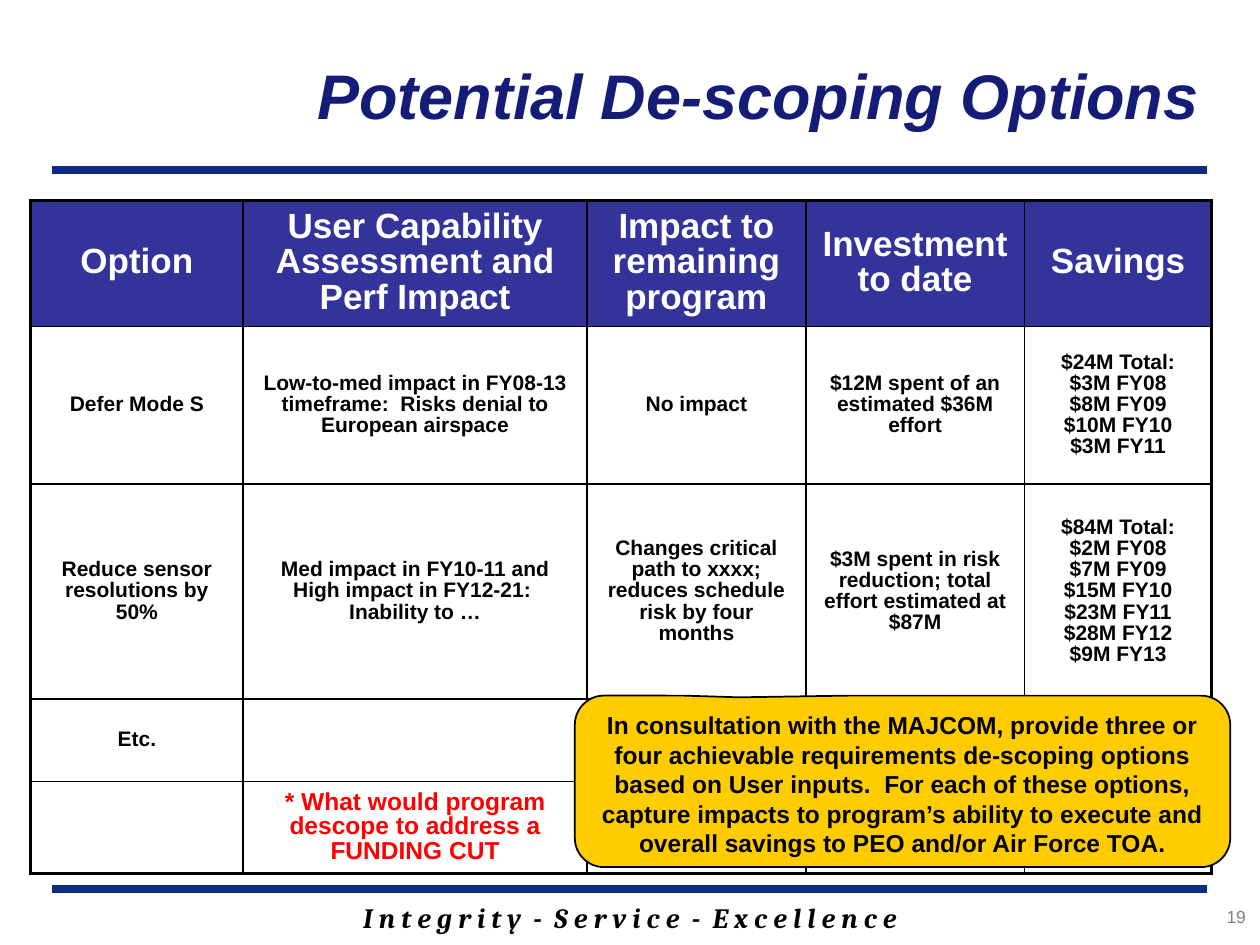
from lxml import etree
from pptx import Presentation
from pptx.dml.color import RGBColor
from pptx.enum.shapes import MSO_CONNECTOR, MSO_SHAPE
from pptx.enum.text import MSO_ANCHOR, PP_ALIGN
from pptx.oxml.ns import qn
from pptx.util import Pt

LEFT, CENTER, RIGHT = PP_ALIGN.LEFT, PP_ALIGN.CENTER, PP_ALIGN.RIGHT
TOP, MIDDLE = MSO_ANCHOR.TOP, MSO_ANCHOR.MIDDLE
STRAIGHT = MSO_CONNECTOR.STRAIGHT
CALLOUT = MSO_SHAPE.ROUNDED_RECTANGULAR_CALLOUT

# Content; \v marks a line break
TITLE = "Potential De-scoping Options"
MOTTO = "I n t e g r i t y  -  S e r v i c e  -  E x c e l l e n c e"
PAGE_NUMBER = "19"
ROWS = [
    ["Option", "User Capability Assessment and Perf Impact",
     "Impact to remaining program", "Investment to date", "Savings"],
    ["Defer Mode S",
     "Low-to-med impact in FY08-13 timeframe:  Risks denial to European airspace",
     "No impact", "$12M spent of an estimated $36M effort",
     "$24M Total:\v$3M FY08\v$8M FY09\v$10M FY10\v$3M FY11"],
    ["Reduce sensor resolutions by 50%",
     "Med impact in FY10-11 and High impact in FY12-21:  Inability to …",
     "Changes critical path to xxxx; reduces schedule risk by four months",
     "$3M spent in risk reduction; total effort estimated at $87M",
     "$84M Total:\v$2M FY08\v$7M FY09\v$15M FY10\v$23M FY11\v$28M FY12\v$9M FY13"],
    ["Etc.", "", "", "", ""],
    ["", "* What would program descope to address a FUNDING CUT", "", "", ""],
]
ADVICE = ("In consultation with the MAJCOM, provide three or four achievable "
          "requirements de-scoping options based on User inputs.  For each of these "
          "options, capture impacts to program’s ability to execute and overall "
          "savings to PEO and/or Air Force TOA.")

# Layout in points
COLUMN_WIDTHS = [121.5, 196.5, 125, 125, 107]
ROW_HEIGHTS = [67.5, 90, 123, 47, 52.5]
TABLE_LEFT, TABLE_TOP = 17.5, 114.5
RULE_LEFT, RULE_RIGHT = 30, 690
RULE_TOPS = [97, 508]


def color(value):
    return RGBColor.from_string(value)


def write(frame, text, size, fill, align=CENTER, anchor=TOP, font="Arial",
          bold=True, italic=False, spacing=None):
    frame.word_wrap = True
    frame.vertical_anchor = anchor
    frame.text = text
    para = frame.paragraphs[0]
    para.alignment = align
    if spacing:
        para.line_spacing = spacing
    for span in para.runs:
        span.font.name, span.font.size = font, Pt(size)
        span.font.bold, span.font.italic = bold, italic
        span.font.color.rgb = color(fill)


def add_text(page, left, top, width, height, text, size, fill, **style):
    box = page.shapes.add_textbox(Pt(left), Pt(top), Pt(width), Pt(height))
    write(box.text_frame, text, size, fill, **style)


def add_rule(page, top):
    rule = page.shapes.add_connector(STRAIGHT, Pt(RULE_LEFT), Pt(top),
                                     Pt(RULE_RIGHT), Pt(top))
    rule.line.color.rgb = color("0C2D83")
    rule.line.width = Pt(4.5)
    etree.SubElement(rule._element.spPr, qn("a:effectLst"))


def set_borders(cell, outer):
    properties = cell._tc.get_or_add_tcPr()
    for index, side in enumerate(("lnL", "lnR", "lnT", "lnB")):
        width = Pt(2.25 if side in outer else 1)
        line = etree.Element(qn(f"a:{side}"), w=str(int(width)))
        fill = etree.SubElement(line, qn("a:solidFill"))
        etree.SubElement(fill, qn("a:srgbClr"), val="000000")
        properties.insert(index, line)


def add_options_table(page):
    last_row, last_column = len(ROWS) - 1, len(COLUMN_WIDTHS) - 1
    table = page.shapes.add_table(
        len(ROWS), len(COLUMN_WIDTHS), Pt(TABLE_LEFT), Pt(TABLE_TOP),
        Pt(sum(COLUMN_WIDTHS)), Pt(sum(ROW_HEIGHTS))).table
    for column, width in zip(table.columns, COLUMN_WIDTHS):
        column.width = Pt(width)
    for row, height in zip(table.rows, ROW_HEIGHTS):
        row.height = Pt(height)
    for r, texts in enumerate(ROWS):
        # Header, body and closing question each have their own style
        size, ink = {0: (20, "FFFFFF"), last_row: (14, "FF0000")}.get(r, (12, "000000"))
        for c, text in enumerate(texts):
            cell = table.cell(r, c)
            cell.vertical_anchor = MIDDLE
            write(cell.text_frame, text, size, ink, anchor=MIDDLE, spacing=0.9)
            if r == 0:
                cell.fill.solid()
                cell.fill.fore_color.rgb = color("333399")
            else:
                cell.fill.background()
            edges = {"lnL": c == 0, "lnR": c == last_column,
                     "lnT": r == 0, "lnB": r == last_row}
            set_borders(cell, [side for side, is_outer in edges.items() if is_outer])


def add_callout(page):
    callout = page.shapes.add_shape(CALLOUT, Pt(328.5), Pt(397.5), Pt(374.5), Pt(98))
    for index, value in enumerate((-0.25, -0.49, 0.17)):
        callout.adjustments[index] = value
    callout.shadow.inherit = False
    callout.fill.solid()
    callout.fill.fore_color.rgb = color("FFCC00")
    callout.line.color.rgb = color("000000")
    callout.line.width = Pt(1)
    write(callout.text_frame, ADVICE, 14, "000000")


def main():
    deck = Presentation()
    deck.slide_width, deck.slide_height = Pt(720), Pt(540)
    page = deck.slides.add_slide(deck.slide_layouts[6])

    # Frame: motto, rules, page number, title
    add_text(page, 102, 511, 516, 27, MOTTO, 16, "000000", font="Cambria", italic=True)
    for top in RULE_TOPS:
        add_rule(page, top)
    add_text(page, 629, 514, 90, 24, PAGE_NUMBER, 10, "808080", align=RIGHT, bold=False)
    add_text(page, 172, 9, 520.5, 90, TITLE, 36, "151C77", align=RIGHT,
             anchor=MIDDLE, italic=True)

    # Body
    add_options_table(page)
    add_callout(page)
    deck.save("out.pptx")


if __name__ == "__main__":
    main()
